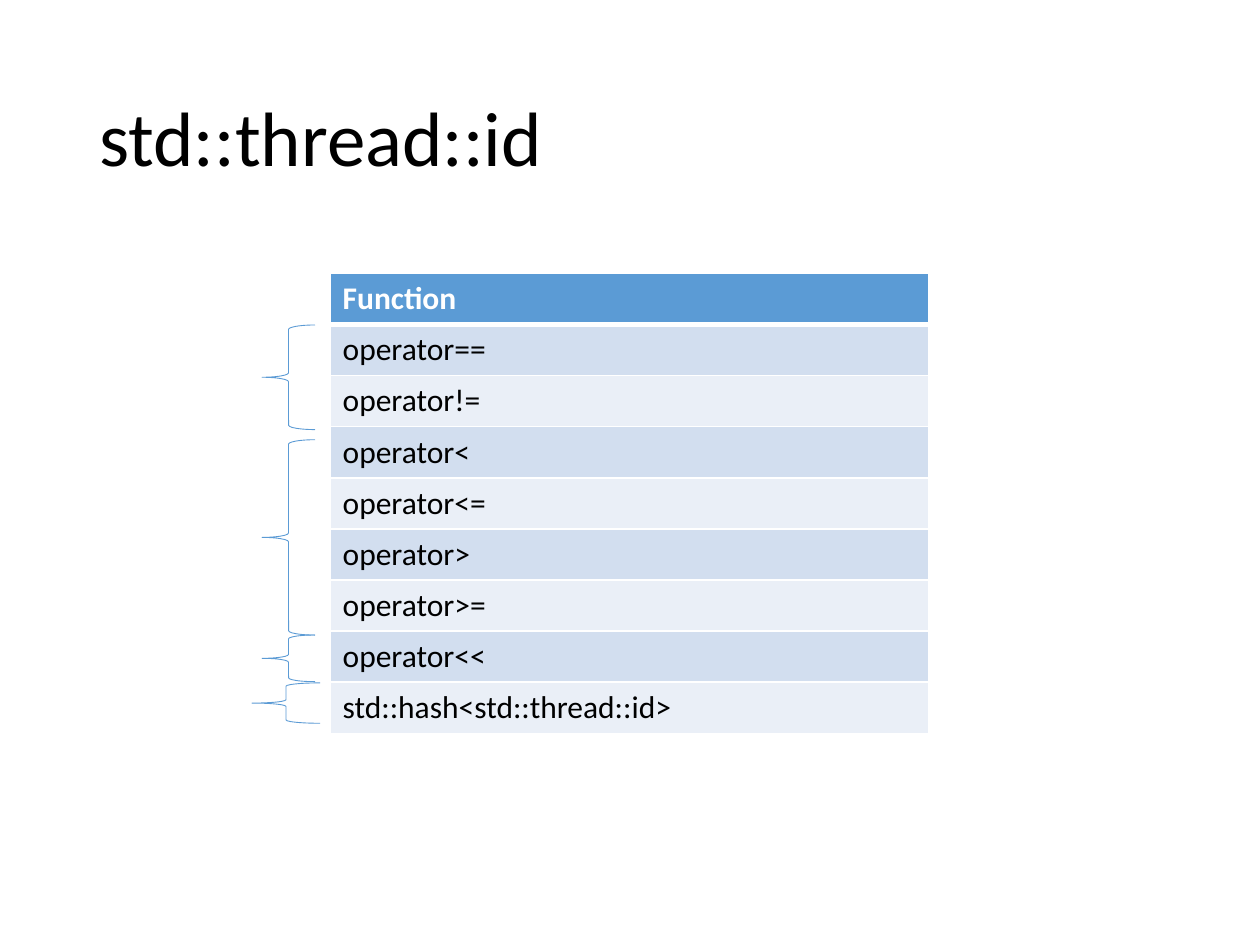
from lxml import etree
from pptx import Presentation
from pptx import util as u
from pptx.dml.color import RGBColor
from pptx.enum import shapes, text
from pptx.oxml import ns

BLACK = RGBColor(0x00, 0x00, 0x00)
WHITE = RGBColor(0xFF, 0xFF, 0xFF)
BLUE = RGBColor(0x5B, 0x9B, 0xD5)
BAND_DARK = RGBColor(0xD2, 0xDE, 0xEF)
BAND_LIGHT = RGBColor(0xEA, 0xEF, 0xF7)

COLUMNS, ROWS = 100, 75

FUNCTIONS = [
    "Function", "operator==", "operator!=", "operator<", "operator<=",
    "operator>", "operator>=", "operator<<", "std::hash<std::thread::id>",
]

# Left, top, width, height of each group of functions, in grid units
GROUPS = [
    (20.8, 25.8, 4.2, 8.3),   # equality
    (20.8, 34.9, 4.2, 15.5),  # ordering
    (20.8, 50.4, 4.2, 3.7),   # output
    (20, 54.2, 5.4, 3.2),     # hashing
]


class SlideBuilder:
    font = "Calibri"

    def __init__(self, deck):
        self.slide = deck.slides.add_slide(deck.slide_layouts[6])
        self.column = deck.slide_width / COLUMNS
        self.row = deck.slide_height / ROWS

    def place(self, left, top, width, height):
        return (round(left * self.column), round(top * self.row),
                round(width * self.column), round(height * self.row))

    def style(self, paragraph, size, color, bold=False):
        for run in paragraph.runs:
            run.font.name = self.font
            run.font.size = u.Pt(size)
            run.font.bold = bold
            run.font.color.rgb = color

    def title(self, words, *area):
        frame = self.slide.shapes.add_textbox(*self.place(*area)).text_frame
        frame.word_wrap = True
        frame.vertical_anchor = text.MSO_ANCHOR.MIDDLE
        frame.text = words
        frame.paragraphs[0].line_spacing = 0.9
        self.style(frame.paragraphs[0], 44, BLACK)

    def border(self, cell, side, points):
        properties = cell._tc.get_or_add_tcPr()
        line = etree.SubElement(properties, ns.qn(f"a:ln{side}"), w=str(u.Pt(points)))
        fill = etree.SubElement(line, ns.qn("a:solidFill"))
        etree.SubElement(fill, ns.qn("a:srgbClr"), val=str(WHITE))

    def list_table(self, entries, *area):
        box = self.place(*area)
        table = self.slide.shapes.add_table(len(entries), 1, *box).table
        for index, entry in enumerate(entries):
            header = index == 0
            table.rows[index].height = round(box[3] / len(entries))
            cell = table.cell(index, 0)
            cell.text = entry
            self.style(cell.text_frame.paragraphs[0], 18,
                       WHITE if header else BLACK, bold=header)
            for side in "LRTB":
                # The rule under the header is heavier
                heavy = (index, side) in ((0, "B"), (1, "T"))
                self.border(cell, side, 3 if heavy else 1)
            cell.fill.solid()
            band = BAND_DARK if index % 2 else BAND_LIGHT
            cell.fill.fore_color.rgb = BLUE if header else band

    def brace(self, *area):
        brace = self.slide.shapes.add_shape(
            shapes.MSO_SHAPE.LEFT_BRACE, *self.place(*area))
        brace.shadow.inherit = False
        brace.fill.background()
        brace.line.color.rgb = BLUE
        brace.line.width = u.Pt(0.5)


def main():
    deck = Presentation()
    deck.slide_width, deck.slide_height = u.Inches(10), u.Inches(7.5)
    builder = SlideBuilder(deck)

    # Heading and function list
    builder.title("std::thread::id", 6.9, 4, 86.2, 14.5)
    builder.list_table(FUNCTIONS, 26.2, 21.7, 47.5, 36.5)

    # Braces grouping related functions
    for group in GROUPS:
        builder.brace(*group)

    deck.save("out.pptx")


if __name__ == "__main__":
    main()
